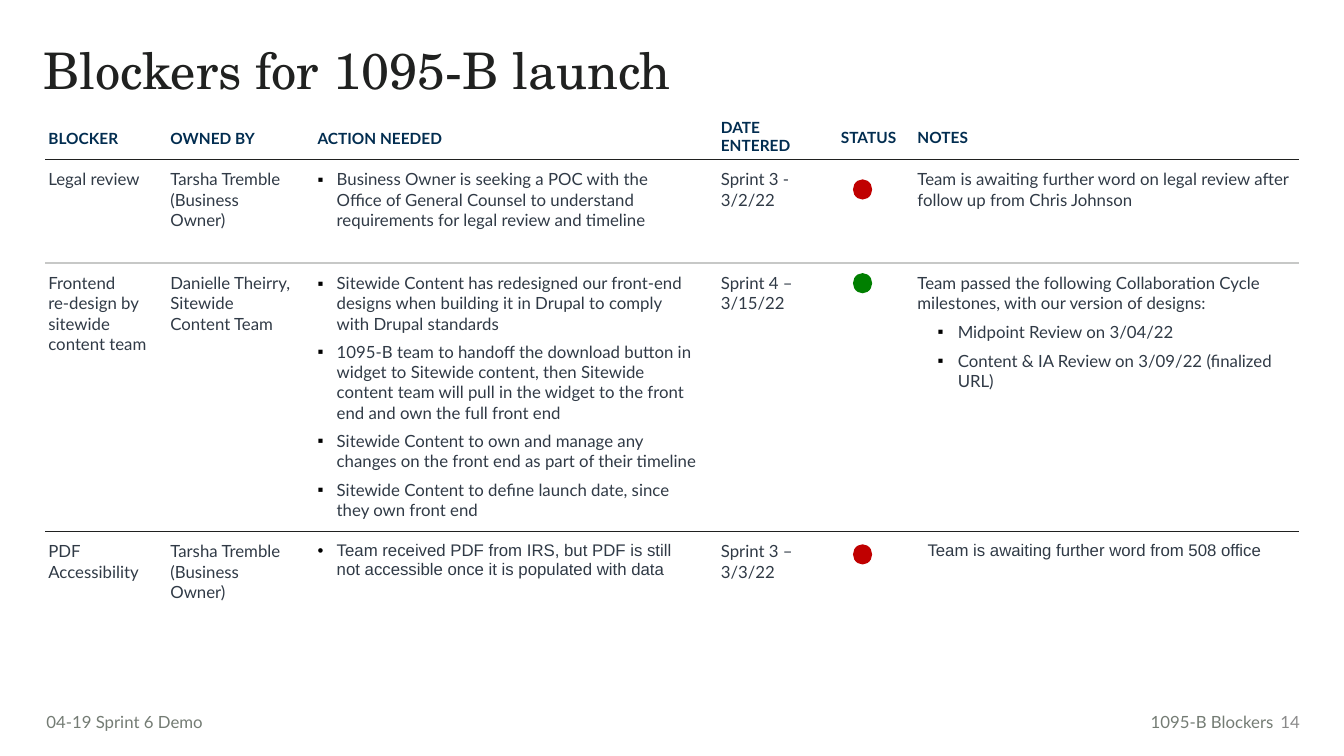
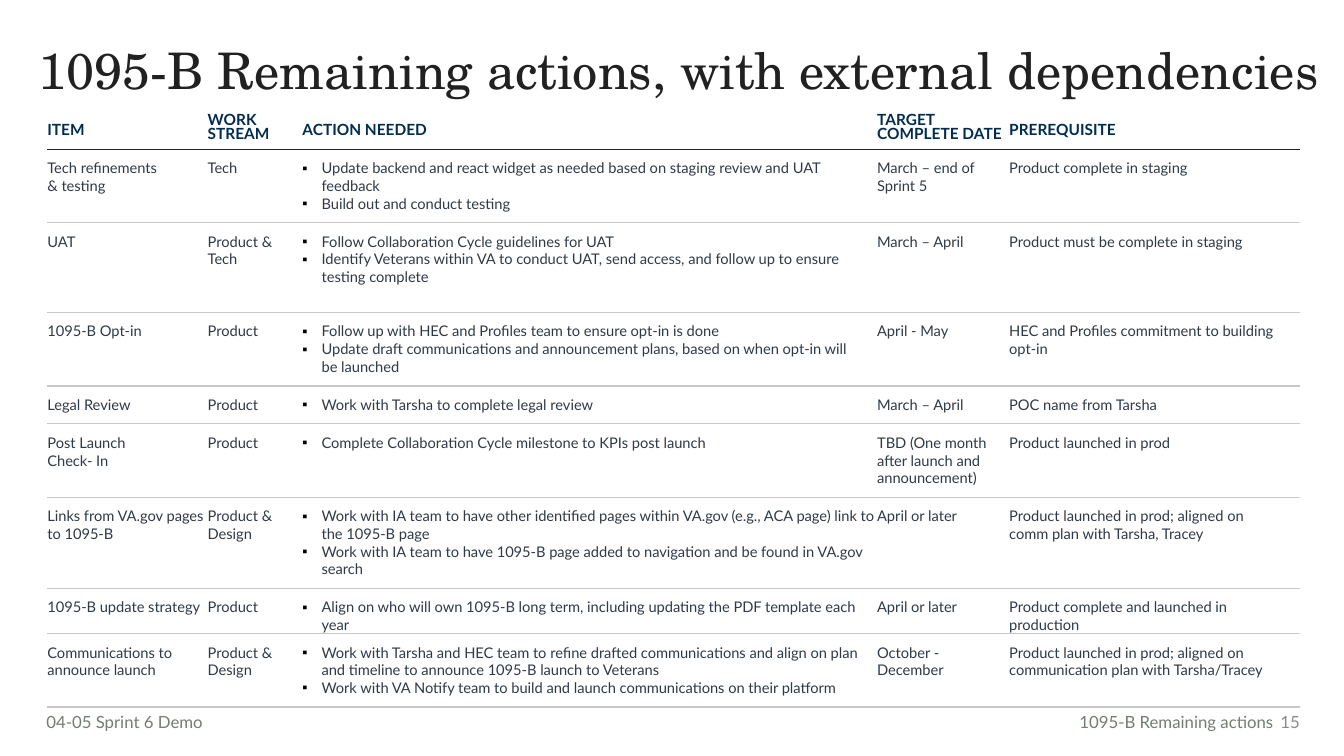
from lxml import etree
from pptx import Presentation
from pptx.dml.color import RGBColor
from pptx.enum.shapes import MSO_SHAPE as SHAPE
from pptx.enum.text import MSO_ANCHOR as ANCHOR, PP_ALIGN as ALIGN
from pptx.oxml.ns import qn
from pptx.util import Inches, Pt

INK, NAVY, BODY, FOOT, PAGE = "202120", "022D50", "303A46", "747C74", "8A8A8A"
RULE, RED, GREEN = "C7C8C7", "C00000", "007F00"
BULLETS = "▪•"


def rgb(value):
    return RGBColor.from_string(value)


def sub(parent, tag, **attrs):
    return etree.SubElement(parent, qn(tag), attrs)


class Deck:
    """Holds the shared style and the current slide."""

    title_style = dict(size=36, name="TeX Gyre Schola", color=INK, spacing=0.9)
    foot_style = dict(size=12, color=FOOT)
    head_style = dict(size=11, color=NAVY, bold=True, spacing=1.15, anchor=ANCHOR.MIDDLE)

    def __init__(self):
        self.prs = Presentation()
        self.prs.slide_width, self.prs.slide_height = Inches(13.33), Inches(7.5)

    def new_slide(self, title, left, footer, section, page):
        self.s = self.prs.slides.add_slide(self.prs.slide_layouts[6])
        self.text(title, left, 0.41, 13, 0.67, **self.title_style)
        self.text(footer, 0.46, 7.01, 2.98, 0.3, left=0, **self.foot_style)
        self.text(section, 9.73, 7.01, 3, 0.3, align=ALIGN.RIGHT, **self.foot_style)
        self.text(page, 12.55, 6.96, 0.44, 0.4, size=12, color=PAGE,
                  align=ALIGN.RIGHT, anchor=ANCHOR.MIDDLE)

    def fill_text(self, tf, text, size, color, name="Lato", bold=False, spacing=1.0,
                  after=0, indent=0.19, align=ALIGN.LEFT):
        for i, line in enumerate(text.split("\n")):
            p = tf.add_paragraph() if i else tf.paragraphs[0]
            if line[:1] and line[0] in BULLETS:
                self.bullet(p, line[0], indent)
                line = line[2:]
            for key, value in dict(alignment=align, line_spacing=spacing,
                                   space_after=Pt(after)).items():
                setattr(p, key, value)
            if line:
                r = p.add_run()
                r.text = line
                for key, value in dict(size=Pt(size), name=name, bold=bold).items():
                    setattr(r.font, key, value)
                r.font.color.rgb = rgb(color)

    def bullet(self, p, char, indent):
        pPr = p._p.get_or_add_pPr()
        pPr.set("marL", str(Inches(indent)))
        pPr.set("indent", str(-Inches(min(indent, 0.2))))
        sub(sub(pPr, "a:buClr"), "a:srgbClr", val="000000")
        sub(pPr, "a:buFont", typeface="Arial")
        sub(pPr, "a:buChar", char=char)

    def text(self, text, x, y, w, h, left=0.1, anchor=ANCHOR.TOP, **style):
        tf = self.s.shapes.add_textbox(*map(Inches, (x, y, w, h))).text_frame
        for key, value in dict(word_wrap=True, vertical_anchor=anchor,
                               margin_left=Inches(left)).items():
            setattr(tf, key, value)
        self.fill_text(tf, text, **style)

    def dot(self, x, y, color):
        sp = self.s.shapes.add_shape(SHAPE.OVAL, *map(Inches, (x, y, 0.19, 0.2)))
        sp.shadow.inherit = False
        sp.fill.solid()
        sp.fill.fore_color.rgb = rgb(color)
        sp.line.fill.background()

    def cell(self, cell, text, above, below, left=0, right=0.2, top=0.1, bottom=0.1,
             anchor=ANCHOR.TOP, **style):
        for key, value in dict(margin_left=Inches(left), margin_right=Inches(right),
                               margin_top=Inches(top), margin_bottom=Inches(bottom),
                               vertical_anchor=anchor).items():
            setattr(cell, key, value)
        self.fill_text(cell.text_frame, text, **style)
        tcPr = cell._tc.get_or_add_tcPr()
        for side, rule in zip("LRTB", (None, None, above, below)):
            color, width = rule or (None, 0)
            ln = sub(tcPr, f"a:ln{side}", w=str(Pt(width)))
            if color:
                sub(sub(ln, "a:solidFill"), "a:srgbClr", val=color)
            else:
                sub(ln, "a:noFill")
        cell.fill.background()

    def table(self, x, y, widths, rows, rules, columns):
        heights = [height for height, _, _ in rows]
        table = self.s.shapes.add_table(
            len(rows), len(widths),
            *map(Inches, (x, y, sum(widths), sum(heights)))).table
        table.first_row = table.horz_banding = False
        for col, width in zip(table.columns, widths):
            col.width = Inches(width)
        for i, (height, row_style, entries) in enumerate(rows):
            table.rows[i].height = Inches(height)
            for j, entry in enumerate(entries):
                text, own = entry if isinstance(entry, tuple) else (entry, {})
                style = {**columns[j], **row_style, **own}
                self.cell(table.cell(i, j), text, rules[i], rules[i + 1], **style)

    def save(self):
        self.prs.save("out.pptx")


def blockers(deck):
    deck.new_slide("Blockers for 1095-B launch", 0.33,
                   "04-19 Sprint 6 Demo", "1095-B Blockers", "14")
    head = dict(deck.head_style, top=0.03, bottom=0.03, right=0.03, after=0)
    body = dict(size=12, color=BODY)
    single = dict(spacing=1.0)
    spaced = dict(after=6)
    rows = [
        (0.44, head, [
            "BLOCKER", "OWNED BY", "ACTION NEEDED",
            ("DATE\nENTERED", dict(single, anchor=ANCHOR.TOP)),
            ("STATUS", single), ("NOTES", single)]),
        (1.03, body, [
            "Legal review", "Tarsha Tremble (Business Owner)",
            ("▪ Business Owner is seeking a POC with the Office of General Counsel to "
             "understand requirements for legal review and timeline", spaced),
            "Sprint 3 -\n3/2/22", "",
            "Team is awaiting further word on legal review after follow up from "
            "Chris Johnson"]),
        (2.66, body, [
            "Frontend\nre-design by sitewide content team",
            "Danielle Theirry, Sitewide Content Team",
            ("▪ Sitewide Content has redesigned our front-end designs when building it in "
             "Drupal to comply with Drupal standards\n"
             "▪ 1095-B team to handoff the download button in widget to Sitewide content, "
             "then Sitewide content team will pull in the widget to the front end and own "
             "the full front end\n"
             "▪ Sitewide Content to own and manage any changes on the front end as part of "
             "their timeline\n"
             "▪ Sitewide Content to define launch date, since they own front end", spaced),
            "Sprint 4 – 3/15/22", "",
            ("Team passed the following Collaboration Cycle milestones, with our version "
             "of designs:\n▪ Midpoint Review on 3/04/22\n"
             "▪ Content & IA Review on 3/09/22 (finalized URL)",
             dict(spaced, indent=0.4))]),
        (0.6, body, [
            "PDF Accessibility", "Tarsha Tremble (Business Owner)",
            ("• Team received PDF from IRS, but PDF is still not accessible once it is "
             "populated with data", dict(name="Arial")),
            "Sprint 3 – 3/3/22", "",
            ("Team is awaiting further word from 508 office",
             dict(name="Arial", left=0.2))]),
    ]
    wide, tight = dict(left=0.03), dict(left=0.03, right=0.03)
    columns = [wide] * 3 + [tight] * 2 + [dict(left=0.1, right=0.03)]
    dark = (INK, 1)
    deck.table(0.45, 1.14, [1.21, 1.46, 4, 1.19, 0.69, 3.88], rows,
               [None, dark, (RULE, 1), dark, None], columns)
    for y, color in ((1.78, RED), (2.71, GREEN), (5.4, RED)):
        deck.dot(8.46, y, color)


def remaining_actions(deck):
    deck.new_slide("1095-B Remaining actions, with external dependencies", 0.28,
                   "04-05 Sprint 6 Demo", "1095-B Remaining actions", "15")
    head = dict(deck.head_style, top=0.03, bottom=0, right=0.03)
    body = dict(size=10.5, color=BODY)
    full = dict(right=0)
    tight = dict(spacing=0.8)
    rows = [
        (0.45, head, [
            "ITEM", ("WORK STREAM", tight), "ACTION NEEDED",
            ("TARGET\nCOMPLETE DATE", tight), "PREREQUISITE"]),
        (0.73, body, [
            "Tech refinements\n& testing", "Tech",
            "▪ Update backend and react widget as needed based on staging review and UAT "
            "feedback\n▪ Build out and conduct testing",
            "March – end of\nSprint 5", "Product complete in staging"]),
        (0.89, body, [
            "UAT", "Product & Tech",
            "▪ Follow Collaboration Cycle guidelines for UAT\n"
            "▪ Identify Veterans within VA to conduct UAT, send access, and follow up to "
            "ensure testing complete",
            "March – April", "Product must be complete in staging"]),
        (0.73, body, [
            "1095-B Opt-in", "Product",
            "▪ Follow up with HEC and Profiles team to ensure opt-in is done\n"
            "▪ Update draft communications and announcement plans, based on when opt-in "
            "will be launched",
            "April - May", "HEC and Profiles commitment to building opt-in"]),
        (0.37, body, [
            "Legal Review", "Product", "▪ Work with Tarsha to complete legal review",
            "March – April", "POC name from Tarsha"]),
        (0.73, body, [
            "Post Launch\nCheck- In", "Product",
            "▪ Complete Collaboration Cycle milestone to KPIs post launch",
            "TBD (One month after launch and announcement)", "Product launched in prod"]),
        (0.9, body, [
            ("Links from VA.gov pages to 1095-B", full), "Product & Design",
            ("▪ Work with IA team to have other identified pages within VA.gov (e.g., ACA "
             "page) link to the 1095-B page\n"
             "▪ Work with IA team to have 1095-B page added to navigation and be found in "
             "VA.gov search", full),
            "April or later",
            "Product launched in prod; aligned on comm plan with Tarsha, Tracey"]),
        (0.45, dict(body, bottom=0), [
            ("1095-B update strategy", full), "Product",
            ("▪ Align on who will own 1095-B long term, including updating the PDF "
             "template each year", full),
            "April or later", ("Product complete and launched in production", full)]),
        (0.73, body, [
            ("Communications to announce launch", full), "Product & Design",
            ("▪ Work with Tarsha and HEC team to refine drafted communications and align "
             "on plan and timeline to announce 1095-B launch to Veterans\n"
             "▪ Work with VA Notify team to build and launch communications on their "
             "platform", full),
            "October - December",
            ("Product launched in prod; aligned on communication plan with Tarsha/Tracey",
             full)]),
    ]
    deck.table(0.47, 1.03, [1.59, 0.94, 5.7, 1.31, 2.88], rows,
               [None, (INK, 0.75)] + [(RULE, 1)] * 8, [{}] * 5)


def main():
    deck = Deck()
    blockers(deck)
    remaining_actions(deck)
    deck.save()


if __name__ == "__main__":
    main()
